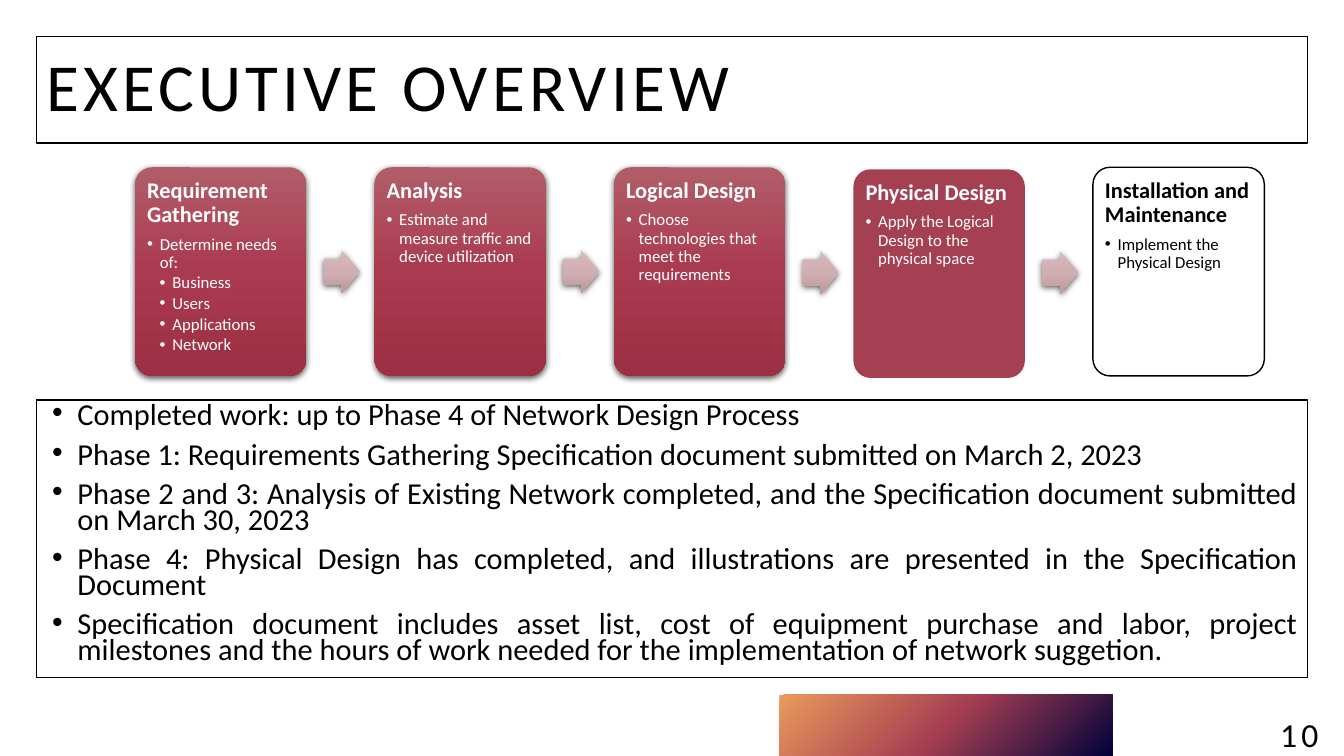
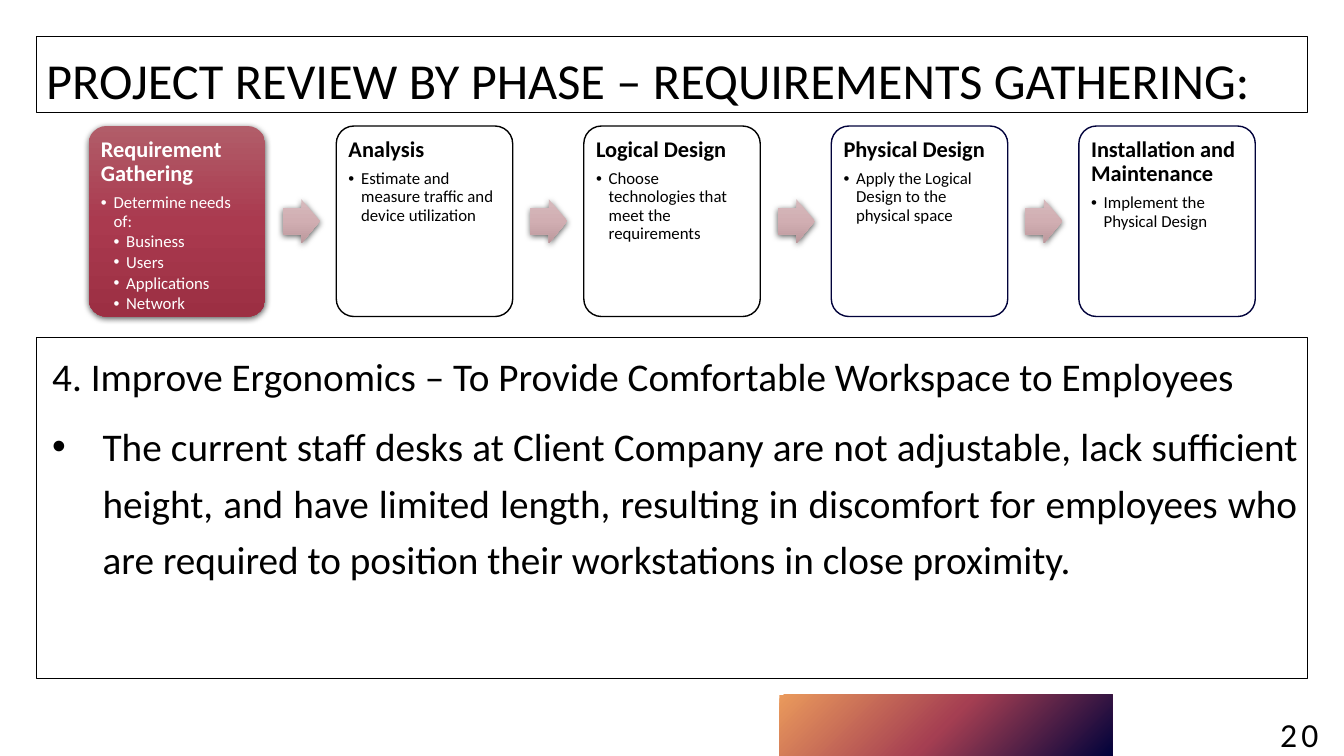
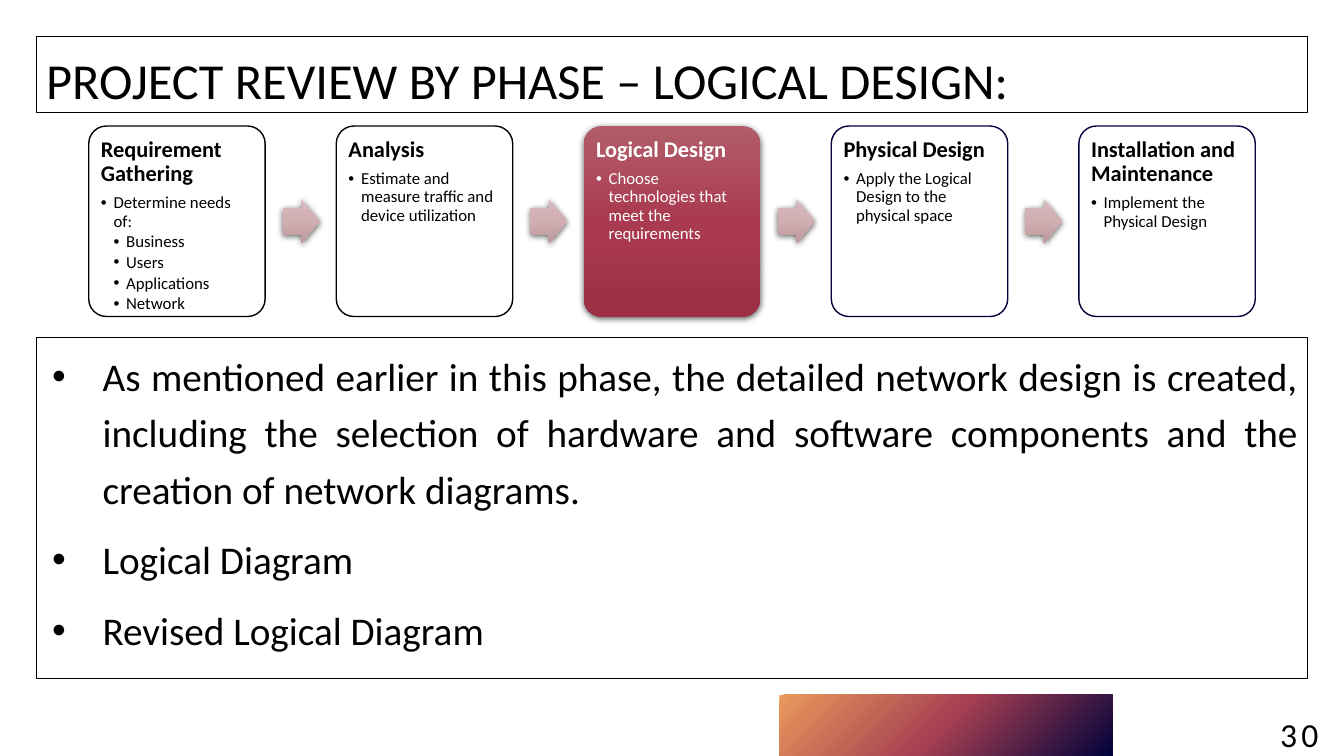
"""Build three slides that review a network design project by phase."""
import math

import lxml.etree
import pptx
import pptx.dml.color
import pptx.enum.shapes
import pptx.enum.text
import pptx.oxml
import pptx.oxml.ns
import pptx.util

Inches = pptx.util.Inches
Pt = pptx.util.Pt
SHAPE = pptx.enum.shapes.MSO_SHAPE
ALIGN = pptx.enum.text.PP_ALIGN
ANCHOR = pptx.enum.text.MSO_ANCHOR

FONT = "Calibri"
BLACK, WHITE, NAVY, ROSE = "000000", "FFFFFF", "01023B", "A53F52"
BAND_STOPS = [(0, NAVY), (50, ROSE), (100, "EA9A5C")]
CARD_STOPS = [(0, "B15D69"), (50, "AA3A4F"), (100, "9C2F43")]
ARROW_STOPS = [(0, "D6BABD"), (50, "D1AEB2"), (100, "BC999D")]
DOWNWARD = '<a:lin ang="5400000" scaled="0"/>'
FROM_CORNER = '<a:path path="circle"><a:fillToRect l="100000" t="100000"/></a:path>'
NAMESPACE = pptx.oxml.ns.nsdecls("a")

PHASES = [
    ("Requirement Gathering", [
        (1, "Determine needs of:"), (2, "Business"), (2, "Users"),
        (2, "Applications"), (2, "Network")]),
    ("Analysis", [(1, "Estimate and measure traffic and device utilization")]),
    ("Logical Design", [(1, "Choose technologies that meet the requirements")]),
    ("Physical Design", [(1, "Apply the Logical Design to the physical space")]),
    ("Installation and Maintenance", [(1, "Implement the Physical Design")]),
]
OVERVIEW_FLOW = {"left": 1.34, "last": 10.84, "top": 1.66, "width": 1.7, "height": 2.07}
REVIEW_FLOW = {"left": 0.88, "last": 10.7, "top": 1.25, "width": 1.75, "height": 1.89}


def color(value):
    return pptx.dml.color.RGBColor.from_string(value)


def add_box(slide, kind, left, top, width, height, fill=None, line=None):
    box = slide.shapes.add_shape(
        kind, Inches(left), Inches(top), Inches(width), Inches(height))
    box.shadow.inherit = False
    if fill:
        box.fill.solid()
        box.fill.fore_color.rgb = color(fill)
    else:
        box.fill.background()
    if line:
        box.line.color.rgb = color(line)
        box.line.width = Pt(1)
    else:
        box.line.fill.background()
    return box


def set_gradient(box, stops, direction):
    marks = "".join(
        f'<a:gs pos="{place * 1000}"><a:srgbClr val="{value}"/></a:gs>'
        for place, value in stops)
    gradient = pptx.oxml.parse_xml(
        f'<a:gradFill {NAMESPACE} rotWithShape="1"><a:gsLst>{marks}</a:gsLst>'
        f'{direction}</a:gradFill>')
    properties = box.fill._xPr
    properties.replace(properties.find(pptx.oxml.ns.qn("a:noFill")), gradient)


def add_shadow(box):
    effects = box._element.spPr.find(pptx.oxml.ns.qn("a:effectLst"))
    effects.append(pptx.oxml.parse_xml(
        f'<a:outerShdw {NAMESPACE} blurRad="57150" dist="19050" dir="5400000" '
        'algn="ctr" rotWithShape="0"><a:srgbClr val="000000">'
        '<a:alpha val="63000"/></a:srgbClr></a:outerShdw>'))


def set_frame(box, inset=(0.1, 0.05, 0.1, 0.05), anchor=ANCHOR.TOP):
    frame = box.text_frame
    frame.word_wrap = True
    frame.vertical_anchor = anchor
    (frame.margin_left, frame.margin_top,
     frame.margin_right, frame.margin_bottom) = map(Inches, inset)


def add_text(box, text, size, ink=BLACK, bold=False, align=ALIGN.LEFT, spacing=1.0,
             before=0, after=0, indent=0, hanging=0, tracking=0):
    frame = box.text_frame
    first = not frame.paragraphs[0].runs
    para = frame.paragraphs[0] if first else frame.add_paragraph()
    para.alignment = align
    para.line_spacing = spacing
    para.space_before = Pt(0 if first else before)
    para.space_after = Pt(after)
    properties = para._p.get_or_add_pPr()
    properties.set("marL", str(Inches(indent)))
    properties.set("indent", str(-Inches(hanging)))
    if hanging:
        for tag, name, value in (("buFont", "typeface", "Arial"), ("buChar", "char", "•")):
            bullet = lxml.etree.SubElement(properties, pptx.oxml.ns.qn("a:" + tag))
            bullet.set(name, value)
    span = para.add_run()
    span.text = text
    span.font.name = FONT
    span.font.size = Pt(size)
    span.font.bold = bold
    span.font.color.rgb = color(ink)
    if tracking:
        span._r.get_or_add_rPr().set("spc", str(tracking * 100))


def add_page(deck, number):
    page = deck.slides.add_slide(deck.slide_layouts[6])
    band = add_box(page, SHAPE.RECTANGLE, 7.73, 6.89, 3.3, 0.61)
    set_gradient(band, BAND_STOPS, FROM_CORNER)
    box = page.shapes.add_textbox(Inches(12.54), Inches(6.83), Inches(0.69), Inches(0.4))
    set_frame(box)
    add_text(box, str(number), 24, align=ALIGN.CENTER, spacing=1.5, tracking=3)
    return page


def add_title(page, text, height, size, inset, tracking=0):
    box = add_box(page, SHAPE.RECTANGLE, 0.36, 0.36, 12.61, height, WHITE, BLACK)
    set_frame(box, (0.1, inset, 0.1, 0))
    add_text(box, text, size, tracking=tracking)


def add_body(page, top, height, entries, size, spacing, indent, hanging):
    box = add_box(page, SHAPE.RECTANGLE, 0.36, top, 12.61, height, WHITE, BLACK)
    set_frame(box)
    for text, bulleted in entries:
        shift = hanging if bulleted else 0
        add_text(box, text, size, align=ALIGN.JUSTIFY, spacing=spacing, before=10,
                 indent=indent + shift, hanging=shift)


def add_card(page, phase, style, left, top, width, height):
    fill, line, ink = {
        "glossy": (None, None, WHITE), "flat": (ROSE, None, WHITE),
        "plain": (WHITE, BLACK, BLACK), "navy": (WHITE, NAVY, BLACK)}[style]
    card = add_box(page, SHAPE.ROUNDED_RECTANGLE, left, top, width, height, fill, line)
    card.adjustments[0] = 0.1
    if style == "glossy":
        set_gradient(card, CARD_STOPS, DOWNWARD)
        add_shadow(card)
    set_frame(card, (0.07, 0.07, 0.07, 0.07))
    heading, details = phase
    add_text(card, heading, 16, ink, bold=True, spacing=0.9, after=5.6)
    for level, detail in details:
        add_text(card, detail, 12, ink, spacing=0.9, after=1.8,
                 indent=level * 0.125, hanging=0.125)


def add_flow(page, styles, left, last, top, width, height):
    pitch = (last - left) / (len(PHASES) - 1)
    tops = [top + (0.02 if style == "flat" else 0) for style in styles]
    for index, (phase, style) in enumerate(zip(PHASES, styles)):
        start = left + index * pitch
        add_card(page, phase, style, start, tops[index], width, height)
        if index + 1 < len(PHASES):
            drop = tops[index + 1] - tops[index]
            middle = tops[index] + (height + drop) / 2
            arrow = add_box(page, SHAPE.RIGHT_ARROW, start + 1.1 * width,
                            middle - width / 8, 0.21 * width, width / 4)
            arrow.adjustments[0] = 0.6
            arrow.adjustments[1] = 0.5
            arrow.rotation = math.degrees(math.atan2(drop, pitch))
            set_gradient(arrow, ARROW_STOPS, DOWNWARD)
            add_shadow(arrow)


def add_overview(deck, number, title, styles, entries):
    page = add_page(deck, number)
    add_title(page, title, 1.06, 48, 0.08, tracking=3)
    add_body(page, 3.97, 2.75, entries, 21.7, 0.7, 0.06, 0.25)
    add_flow(page, styles, **OVERVIEW_FLOW)


def add_review(deck, number, title, styles, entries):
    page = add_page(deck, number)
    add_title(page, "PROJECT REVIEW BY PHASE – " + title, 0.76, 36, 0.13)
    add_body(page, 3.35, 3.38, entries, 28, 1.2, 0.06, 0.5)
    add_flow(page, styles, **REVIEW_FLOW)


def main():
    deck = pptx.Presentation()
    deck.slide_width, deck.slide_height = Inches(13.33), Inches(7.5)
    add_overview(
        deck, 10, "EXECUTIVE OVERVIEW", ["glossy", "glossy", "glossy", "flat", "plain"], [
            ("Completed work: up to Phase 4 of Network Design Process", True),
            ("Phase 1: Requirements Gathering Specification document submitted on "
             "March 2, 2023", True),
            ("Phase 2 and 3: Analysis of Existing Network completed, and the "
             "Specification document submitted on March 30, 2023", True),
            ("Phase 4: Physical Design has completed, and illustrations are presented "
             "in the Specification Document", True),
            ("Specification document includes asset list, cost of equipment purchase "
             "and labor, project milestones and the hours of work needed for the "
             "implementation of network suggetion.", True)])
    add_review(
        deck, 20, "REQUIREMENTS GATHERING:", ["glossy", "plain", "plain", "navy", "navy"], [
            ("4. Improve Ergonomics – To Provide Comfortable Workspace to Employees", False),
            ("The current staff desks at Client Company are not adjustable, lack "
             "sufficient height, and have limited length, resulting in discomfort for "
             "employees who are required to position their workstations in close "
             "proximity.", True)])
    add_review(
        deck, 30, "LOGICAL DESIGN:", ["plain", "plain", "glossy", "navy", "navy"], [
            ("As mentioned earlier in this phase, the detailed network design is "
             "created, including the selection of hardware and software components "
             "and the creation of network diagrams.", True),
            ("Logical Diagram", True),
            ("Revised Logical Diagram", True)])
    deck.save("out.pptx")


if __name__ == "__main__":
    main()
